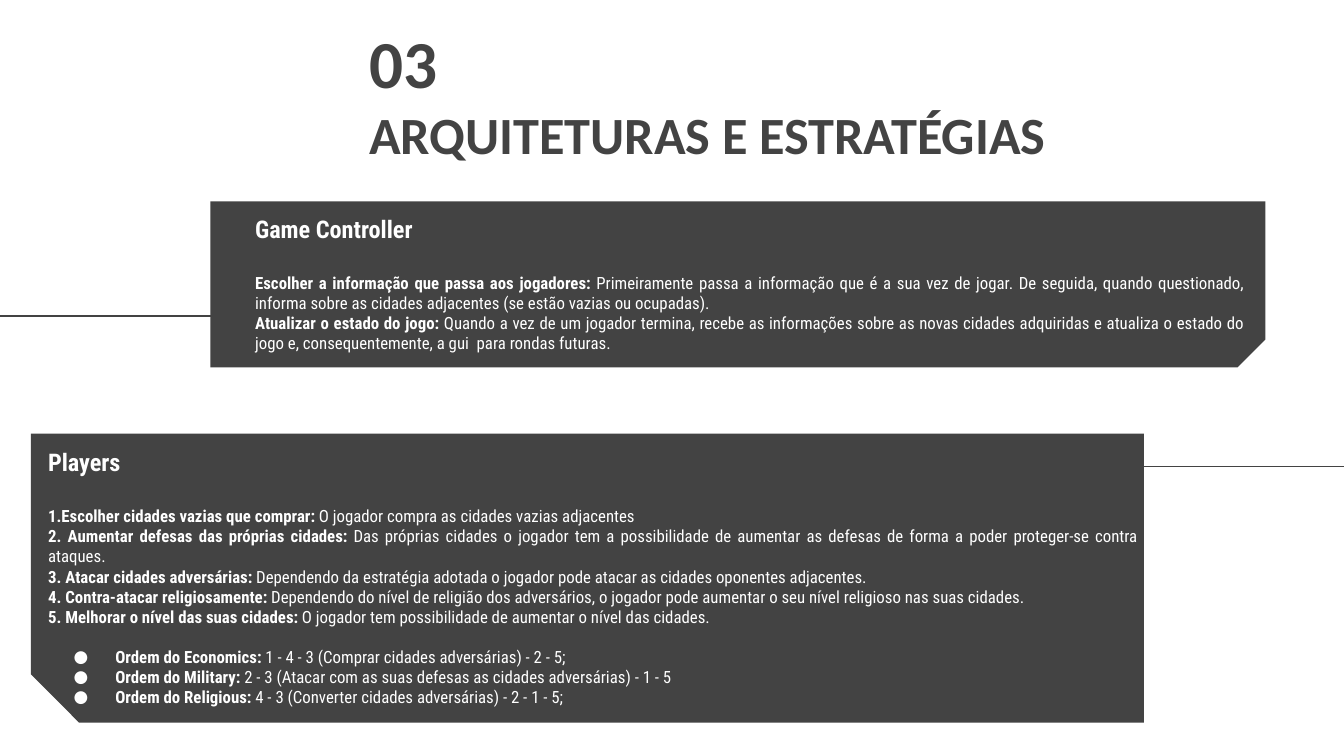
from lxml import etree
from pptx import Presentation
from pptx.dml.color import RGBColor
from pptx.enum.shapes import MSO_CONNECTOR, MSO_SHAPE
from pptx.enum.text import MSO_ANCHOR, PP_ALIGN as AL
from pptx.oxml.ns import qn
from pptx.util import Inches, Pt

DARK, WHITE = "434343", "FFFFFF"
BODY = "Roboto Condensed"


def rgb(h):
    return RGBColor.from_string(h)


def add_text(tf, *texts, size=9, font=BODY, color=WHITE, align=AL.JUSTIFY, before=0, bullet=False):
    p = tf.paragraphs[0]
    if p.runs:
        p = tf.add_paragraph()
    p.alignment = align
    p.space_before = Pt(before)
    for i, text in enumerate(texts):
        r = p.add_run()
        r.text = text
        r.font.size, r.font.name, r.font.bold = Pt(size), font, i == 0
        r.font.color.rgb = rgb(color)
    if bullet:
        pPr = p._p.get_or_add_pPr()
        pPr.set("marL", str(Inches(0.5)))
        pPr.set("indent", str(-Inches(0.31)))
        etree.SubElement(etree.SubElement(pPr, qn("a:buClr")), qn("a:srgbClr"), val=color)
        etree.SubElement(pPr, qn("a:buSzPts"), val=str(size * 100))
        etree.SubElement(pPr, qn("a:buFont"), typeface=font)
        etree.SubElement(pPr, qn("a:buChar"), char="●")


prs = Presentation()
prs.slide_width = Inches(10)
prs.slide_height = prs.slide_width * 9 // 16
s = prs.slides.add_slide(prs.slide_layouts[6])
col = row = prs.slide_width / 100

panels = [
    ((32.95, 1.62, 21.5, 82.8), 270, True, (101.7, 73.4), 34.7),
    ((48.72, -18.1, 12.35, 78.5), 90, False, (26.5, -0.2), 23.5),
]
boxes = [(2.6, 32.3, 83, 21.5), (18, 14.95, 75.5, 14.8), (26.5, 0.6, 60.7, 10.3)]

for (x, y, w, h), turn, flip, (x1, x2), y_line in panels:
    sp = s.shapes.add_shape(MSO_SHAPE.SNIP_1_RECTANGLE, int(x * col), int(y * row), int(w * col), int(h * row))
    sp.rotation = turn
    sp.adjustments[0] = 0.167
    sp.shadow.inherit = False
    sp.fill.solid()
    sp.fill.fore_color.rgb = rgb(DARK)
    sp.line.fill.background()
    if flip:
        sp._element.spPr.find(qn("a:xfrm")).set("flipH", "1")

    y = int(y_line * row)
    line = s.shapes.add_connector(MSO_CONNECTOR.STRAIGHT, int(x1 * col), y, int(x2 * col), y)
    line.line.color.rgb = rgb(DARK)
    line.line.width = Pt(0.75)
    etree.SubElement(line._element.spPr, qn("a:effectLst"))

frames = []
for x, y, w, h in boxes:
    tf = s.shapes.add_textbox(int(x * col), int(y * row), int(w * col), int(h * row)).text_frame
    tf.word_wrap = True
    tf.vertical_anchor = MSO_ANCHOR.TOP
    tf.margin_left = tf.margin_right = tf.margin_top = tf.margin_bottom = Inches(0.1)
    frames.append(tf)
players, controller, title = frames

for text, size in [("03", 36), ("ARQUITETURAS E ESTRATÉGIAS", 28)]:
    add_text(title, text, size=size, font="Calibri", color=DARK, align=AL.LEFT)

rules = [
    ("Escolher a informação que passa aos jogadores: ",
     "Primeiramente passa a informação que é a sua vez de jogar. De seguida, quando questionado, "
     "informa sobre as cidades adjacentes (se estão vazias ou ocupadas)."),
    ("Atualizar o estado do jogo: ",
     "Quando a vez de um jogador termina, recebe as informações sobre as novas cidades adquiridas "
     "e atualiza o estado do jogo e, consequentemente, a gui  para rondas futuras."),
]
moves = [
    ("1.Escolher cidades vazias que comprar: ", "O jogador compra as cidades vazias adjacentes"),
    ("2. Aumentar defesas das próprias cidades: ",
     "Das próprias cidades o jogador tem a possibilidade de aumentar as defesas de forma a poder "
     "proteger-se contra ataques."),
    ("3. Atacar cidades adversárias: ",
     "Dependendo da estratégia adotada o jogador pode atacar as cidades oponentes adjacentes."),
    ("4. Contra-atacar religiosamente: ",
     "Dependendo do nível de religião dos adversários, o jogador pode aumentar o seu nível "
     "religioso nas suas cidades."),
    ("5. Melhorar o nível das suas cidades: ", "O jogador tem possibilidade de aumentar o nível das cidades. "),
]
orders = [
    ("Ordem do Economics: ", "1 - 4 - 3 (Comprar cidades adversárias) - 2 - 5;"),
    ("Ordem do Military: ", "2 - 3 (Atacar com as suas defesas as cidades adversárias) - 1 - 5"),
    ("Ordem do Religious: ", "4 - 3 (Converter cidades adversárias) - 2 - 1 - 5;"),
]

for tf, heading, items in [(controller, "Game Controller", rules), (players, "Players", moves)]:
    add_text(tf, heading, size=13)
    for i, item in enumerate(items):
        add_text(tf, *item, before=0 if i else 15.5)
for i, order in enumerate(orders):
    add_text(players, *order, before=0 if i else 10.5, bullet=True)

prs.save("out.pptx")
